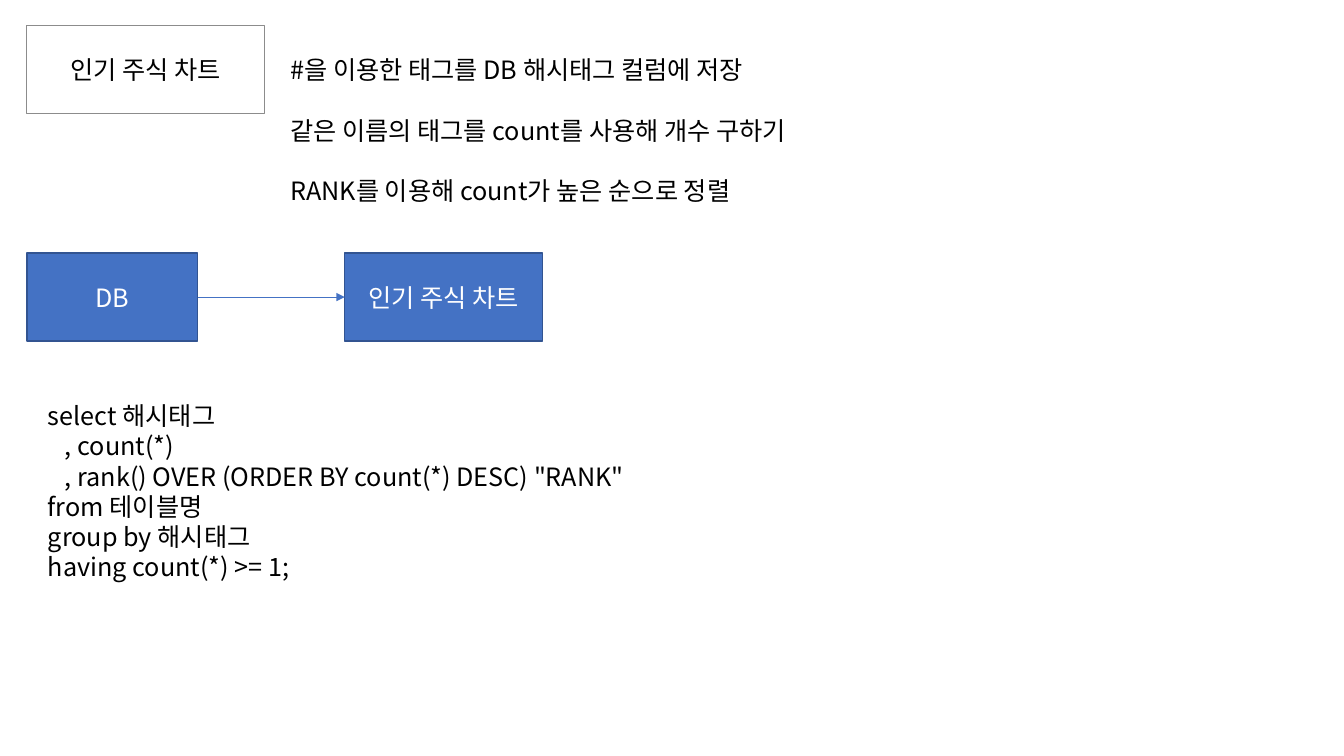
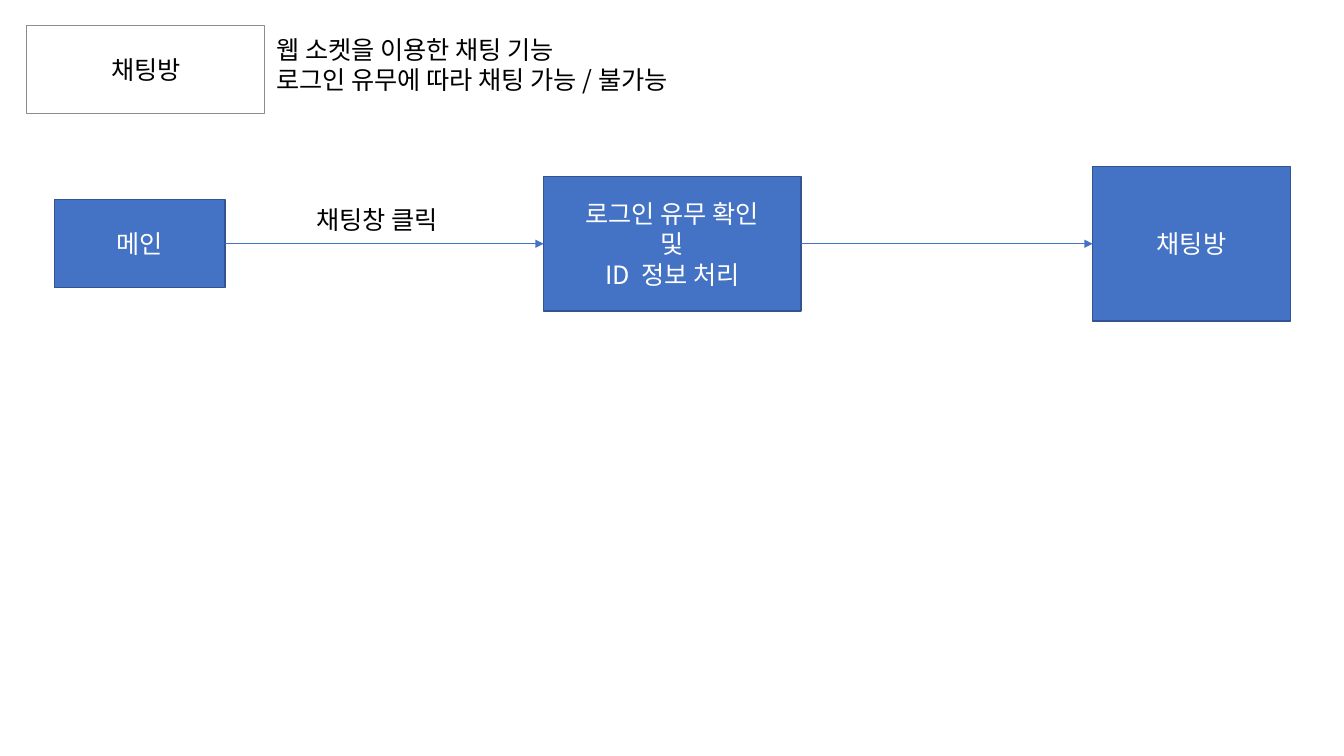
from lxml.etree import SubElement
from pptx import Presentation
from pptx.dml.color import RGBColor
from pptx.enum.shapes import MSO_CONNECTOR, MSO_SHAPE
from pptx.enum.text import MSO_ANCHOR, MSO_AUTO_SIZE, PP_ALIGN
from pptx.oxml.ns import qn
from pptx.util import Inches, Pt

SLIDE_WIDTH, SLIDE_HEIGHT = Inches(13.33), Inches(7.5)
WHITE = RGBColor(0xFF, 0xFF, 0xFF)
BLACK = RGBColor(0x00, 0x00, 0x00)
BLUE = RGBColor(0x44, 0x72, 0xC4)
DARK_BLUE = RGBColor(0x32, 0x54, 0x91)
GREY = RGBColor(0x8C, 0x8C, 0x8C)
FONT = "Noto Sans CJK KR"
LINE_PITCH = Pt(21.6)
BOX_HEIGHT = 11.65
TITLE_AREA = (2, 3.35, 17.7, BOX_HEIGHT)
FRAME_FORMAT = {
    "word_wrap": True,
    "auto_size": MSO_AUTO_SIZE.NONE,
    "margin_left": Inches(0.1),
    "margin_right": Inches(0.1),
    "margin_top": Inches(0.05),
    "margin_bottom": Inches(0.05),
}
PARA_FORMAT = {"line_spacing": LINE_PITCH, "space_before": Pt(0)}
FONT_FORMAT = {"name": FONT, "size": Pt(18), "bold": False}


def apply(target, values):
    """Set each attribute named in values on the target."""
    for name, value in values.items():
        setattr(target, name, value)


def place(shape, left, top, width, height):
    """Move a shape to an area given in percent of the slide."""
    apply(shape, {
        "left": round(SLIDE_WIDTH * left / 100),
        "top": round(SLIDE_HEIGHT * top / 100),
        "width": round(SLIDE_WIDTH * width / 100),
        "height": round(SLIDE_HEIGHT * height / 100),
    })


def write(shape, lines, color=BLACK, align=PP_ALIGN.LEFT,
          anchor=MSO_ANCHOR.TOP, gap=0, indents=None):
    """Write one paragraph per line without bullets."""
    frame = shape.text_frame
    apply(frame, {**FRAME_FORMAT, "vertical_anchor": anchor})
    for index, line in enumerate(lines):
        para = frame.paragraphs[0] if index == 0 else frame.add_paragraph()
        apply(para, {**PARA_FORMAT, "alignment": align, "space_after": gap})
        properties = para._p.get_or_add_pPr()
        properties.set("marL", str(Inches(indents[index] if indents else 0)))
        properties.set("indent", "0")
        SubElement(properties, qn("a:buNone"))
        span = para.add_run()
        span.text = line
        apply(span.font, FONT_FORMAT)
        span.font.color.rgb = color
        SubElement(span._r.get_or_add_rPr(), qn("a:ea"), typeface=FONT)


def paint(shape, fill, outline, weight):
    """Give a shape a solid fill and an outline."""
    shape.fill.solid()
    shape.fill.fore_color.rgb = fill
    shape.line.color.rgb = outline
    shape.line.width = Pt(weight)


def add_page(deck, title, description, area, gap=0):
    """Add a page with a framed title and its description."""
    page = deck.slides.add_slide(deck.slide_layouts[1])
    heading, body = page.placeholders
    place(heading, *TITLE_AREA)
    paint(heading, WHITE, GREY, 0.75)
    write(heading, [title], align=PP_ALIGN.CENTER, anchor=MSO_ANCHOR.MIDDLE)
    place(body, *area)
    write(body, description, gap=gap)
    return page


def add_text(page, lines, area, indents=None):
    """Add a plain text box."""
    box = page.shapes.add_textbox(0, 0, 0, 0)
    place(box, *area)
    write(box, lines, indents=indents)


def add_box(page, lines, left, middle, width, height=BOX_HEIGHT):
    """Add a blue step centred on the height called middle."""
    box = page.shapes.add_shape(MSO_SHAPE.RECTANGLE, 0, 0, 0, 0)
    place(box, left, middle - height / 2, width, height)
    box.shadow.inherit = False
    paint(box, BLUE, DARK_BLUE, 1)
    write(box, lines, WHITE, PP_ALIGN.CENTER, MSO_ANCHOR.MIDDLE)
    return box


def add_arrow(page, source, target):
    """Join the right side of source to the left side of target."""
    arrow = page.shapes.add_connector(MSO_CONNECTOR.STRAIGHT, 0, 0, 0, 0)
    arrow.begin_connect(source, 3)
    arrow.end_connect(target, 1)
    arrow.line.color.rgb = BLUE
    arrow.line.width = Pt(0.5)
    SubElement(arrow.line._get_or_add_ln(), qn("a:tailEnd"), type="triangle")
    SubElement(arrow._element.spPr, qn("a:effectLst"))


def add_flow(page, middle, steps):
    """Add a row of steps joined by arrows."""
    boxes = [add_box(page, lines, left, middle, *size)
             for lines, left, *size in steps]
    for source, target in zip(boxes, boxes[1:]):
        add_arrow(page, source, target)


def add_chart_page(deck):
    """Build the page about the popular stock chart."""
    page = add_page(deck, "인기 주식 차트", [
        "#을 이용한 태그를 DB 해시태그 컬럼에 저장",
        "같은 이름의 태그를 count를 사용해 개수 구하기",
        "RANK를 이용해 count가 높은 순으로 정렬",
    ], (20.85, 6.55, 42.6, 21.6), gap=LINE_PITCH)
    add_flow(page, 39.3, [
        (["DB"], 2, 12.7),
        (["인기 주식 차트"], 25.65, 14.7),
    ])
    add_text(page, [
        "select 해시태그",
        ", count(*)",
        ', rank() OVER (ORDER BY count(*) DESC) "RANK"',
        "from 테이블명",
        "group by 해시태그",
        "having count(*) >= 1;",
    ], (2, 52.3, 46.8, 25.6), indents=(0.11, 0.28, 0.28, 0.11, 0.11, 0.11))


def add_chat_page(deck):
    """Build the page about the chat room."""
    page = add_page(deck, "채팅방", [
        "웹 소켓을 이용한 채팅 기능",
        "로그인 유무에 따라 채팅 가능 / 불가능",
    ], (19.8, 3.9, 34.65, 9.5))
    add_flow(page, 32.25, [
        (["메인"], 4.05, 12.7),
        (["로그인 유무 확인", "및", "ID  정보 처리"], 40.45, 19.15, 17.75),
        (["채팅방"], 81.3, 14.7, 20.4),
    ])
    add_text(page, ["채팅창 클릭"], (22.8, 26.4, 11.65, 5.35))


def main():
    """Build and save the deck."""
    deck = Presentation()
    apply(deck, {"slide_width": SLIDE_WIDTH, "slide_height": SLIDE_HEIGHT})
    add_chart_page(deck)
    add_chat_page(deck)
    deck.save("out.pptx")


if __name__ == "__main__":
    main()
